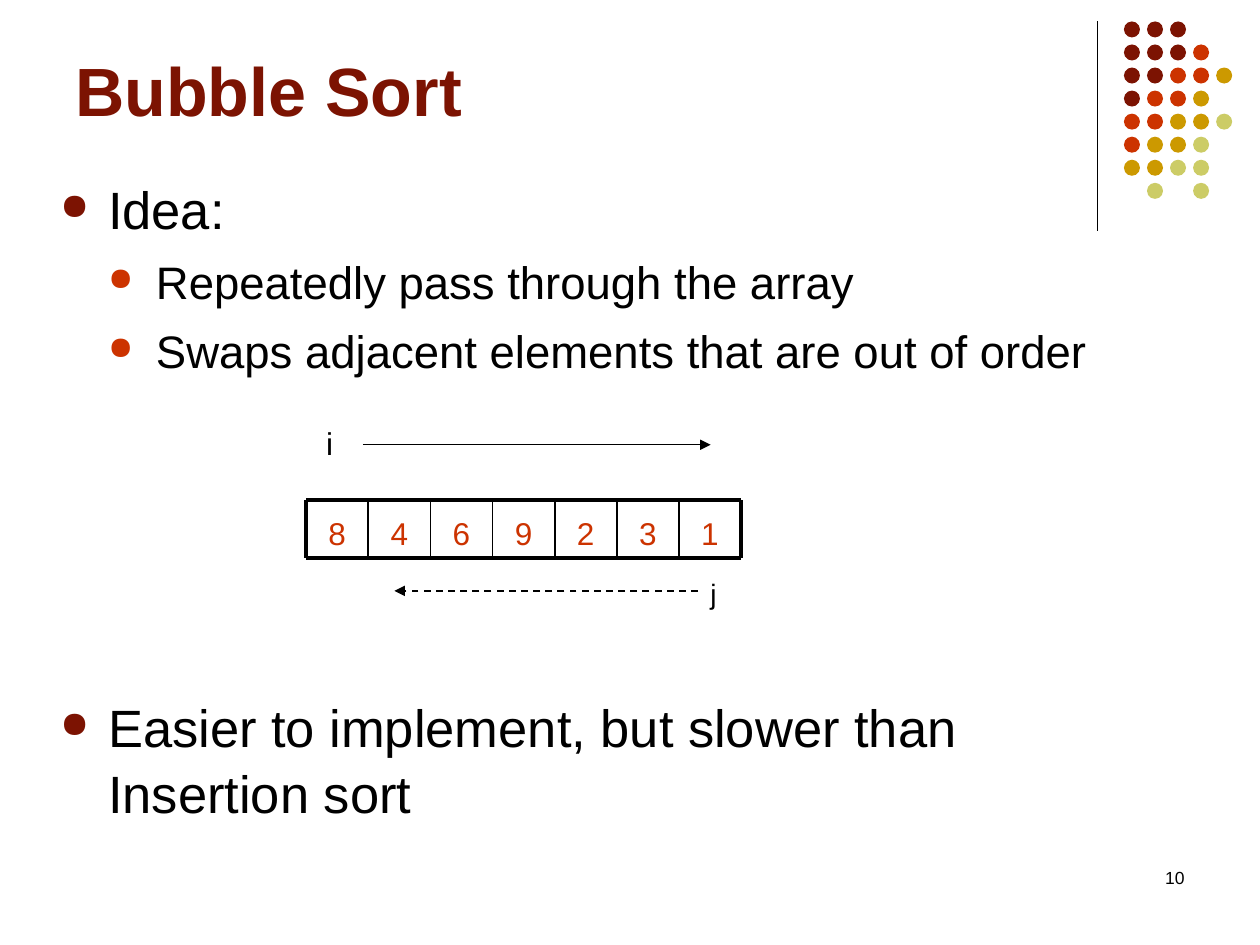
from lxml.etree import SubElement
from pptx import Presentation
from pptx.dml.color import RGBColor
from pptx.enum.dml import MSO_LINE
from pptx.enum.shapes import MSO_CONNECTOR, MSO_SHAPE
from pptx.enum.text import MSO_ANCHOR, PP_ALIGN
from pptx.oxml.ns import qn
from pptx.util import Inches, Pt

BLACK = RGBColor(0x00, 0x00, 0x00)
MAROON = RGBColor(0x7C, 0x13, 0x02)
RED = RGBColor(0xCC, 0x33, 0x00)
GOLD = RGBColor(0xCC, 0x99, 0x00)
OLIVE = RGBColor(0xCC, 0xCC, 0x66)

COLS, ROWS = 100, 75  # the slide grid


class Deck:
    """Holds the style and the current slide; lengths are grid units."""

    font = "Arial"

    def __init__(self):
        self.prs = Presentation()
        self.prs.slide_width, self.prs.slide_height = Inches(10), Inches(7.5)
        self.slide = self.prs.slides.add_slide(self.prs.slide_layouts[6])

    def x(self, cols):
        return round(self.prs.slide_width * cols / COLS)

    def y(self, rows):
        return round(self.prs.slide_height * rows / ROWS)

    def box(self, left, top, wide, high):
        return self.x(left), self.y(top), self.x(wide), self.y(high)

    def frame(self, place, anchor=MSO_ANCHOR.TOP, wrap=True):
        frame = self.slide.shapes.add_textbox(*self.box(*place)).text_frame
        frame.word_wrap, frame.vertical_anchor = wrap, anchor
        return frame

    def fill(self, para, text, size, color=BLACK, bold=False, **form):
        for name, value in form.items():
            setattr(para, name, value)
        run = para.add_run()
        run.text = text
        look = {"name": self.font, "size": Pt(size), "bold": bold}
        for name, value in look.items():
            setattr(run.font, name, value)
        run.font.color.rgb = color

    def text(self, place, text, size, color=BLACK, bold=False,
             align=PP_ALIGN.LEFT, **frame):
        para = self.frame(place, **frame).paragraphs[0]
        self.fill(para, text, size, color, bold, alignment=align)

    def bullet(self, para, level, color):
        props = para._p.get_or_add_pPr()
        props.set("marL", str(self.x(3.8 * (level + 1))))
        props.set("indent", str(-self.x(3.8)))
        tint = SubElement(props, qn("a:buClr"))
        SubElement(tint, qn("a:srgbClr")).set("val", str(color))
        SubElement(props, qn("a:buSzPct")).set("val", "70000")
        SubElement(props, qn("a:buChar")).set("char", "●")
        para.level = level

    def list(self, place, items):
        frame = self.frame(place)
        for n, (text, level, gap) in enumerate(items):
            para = frame.add_paragraph() if n else frame.paragraphs[0]
            self.bullet(para, level, (MAROON, RED)[level])
            self.fill(para, text, (30, 26)[level],
                      space_before=Pt(gap), line_spacing=1.05)

    def line(self, start, end, width, dash=None, arrow=False):
        line = self.slide.shapes.add_connector(
            MSO_CONNECTOR.STRAIGHT, self.x(start[0]), self.y(start[1]),
            self.x(end[0]), self.y(end[1]))
        line.line.color.rgb, line.line.width = BLACK, Pt(width)
        if dash:
            line.line.dash_style = dash
        if arrow:
            tail = SubElement(line.line._get_or_add_ln(), qn("a:tailEnd"))
            tail.set("type", "triangle")
        SubElement(line._element.spPr, qn("a:effectLst"))

    def dot(self, left, top, size, color):
        dot = self.slide.shapes.add_shape(
            MSO_SHAPE.OVAL, *self.box(left, top, size, size))
        dot.shadow.inherit = False
        dot.fill.solid()
        dot.fill.fore_color.rgb = color
        dot.line.fill.background()

    def array(self, left, top, wide, high, values):
        for n, value in enumerate(values):
            self.text((left + n * wide, top, wide, high), value, 18, RED,
                      align=PP_ALIGN.CENTER, anchor=MSO_ANCHOR.BOTTOM)
        count = len(values)
        right, base = left + count * wide, top + high
        for row in (top, base):
            self.line((left, row), (right, row), 2.25)
        for n in range(count + 1):
            col = left + n * wide
            self.line((col, top), (col, base), 2.25 if n in (0, count) else 1)


def main():
    deck = Deck()

    # Corner ornament: a rule and a fading field of dots
    deck.line((87.1, 1.7), (87.1, 18.3), 0.75)
    tints = {"M": MAROON, "R": RED, "G": GOLD, "O": OLIVE}
    field = ("MMM", "MMMR", "MMRRG", "MRRG", "RRGGO", "RGGO", "GGOO", " O O")
    for row, marks in enumerate(field):
        for col, mark in enumerate(marks):
            if mark in tints:
                deck.dot(89.2 + 1.83 * col, 1.7 + 1.83 * row, 1.27, tints[mark])

    # Title and bullets
    deck.text((5, 1.3, 82.5, 9.5), "Bubble Sort", 39, MAROON, bold=True,
              anchor=MSO_ANCHOR.BOTTOM)
    deck.list((3.8, 13.3, 90, 55.5), [
        ("Idea:", 0, 0),
        ("Repeatedly pass through the array", 1, 6.5),
        ("Swaps adjacent elements that are out of order", 1, 6.5),
        ("Easier to implement, but slower than Insertion sort", 0, 180),
    ])

    # Array with its two passes
    deck.array(24.3, 39.7, 4.93, 4.6, "8469231")
    deck.line((28.8, 35.3), (56.4, 35.3), 0.75, arrow=True)
    deck.text((24.9, 33.2, 2.5, 4), "i", 18, wrap=False)
    deck.text((55.4, 45.3, 2.5, 3.7), "j", 16, wrap=False)
    deck.line((55.4, 46.9), (31.3, 46.9), 1, MSO_LINE.DASH, arrow=True)

    # Slide number
    deck.text((71.7, 68.3, 23.3, 5), "10", 10, align=PP_ALIGN.RIGHT)

    deck.prs.save("out.pptx")


if __name__ == "__main__":
    main()
